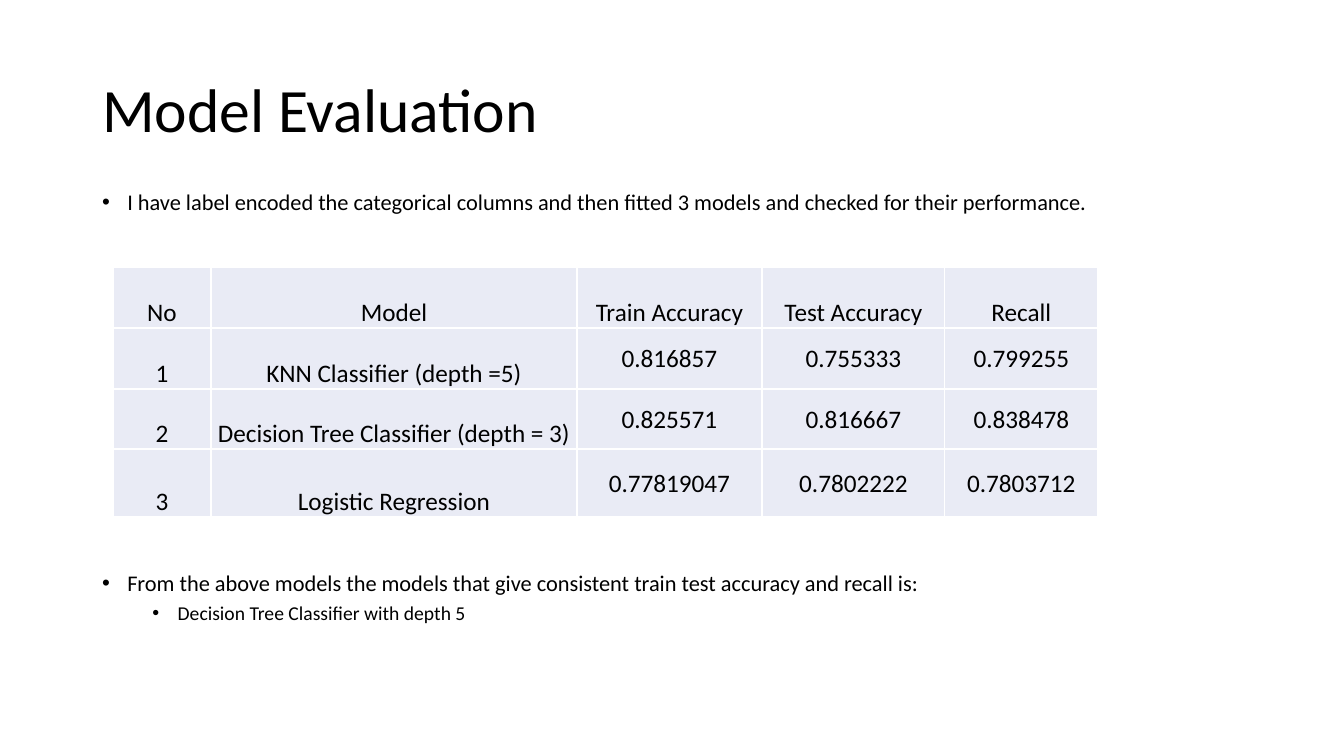
from dataclasses import astuple, dataclass

from lxml import etree
from pptx import Presentation
from pptx import util as u
from pptx.dml.color import RGBColor
from pptx.enum import text
from pptx.oxml.ns import qn

PX = u.Inches(1) / 100.8
FONT = "Calibri"
BLACK = RGBColor(0x00, 0x00, 0x00)
WHITE = RGBColor(0xFF, 0xFF, 0xFF)
CELL_FILL = RGBColor(0xE9, 0xEB, 0xF5)
COLUMN_WIDTHS = (98, 366, 185, 183, 153)
ROW_HEIGHTS = (61, 61, 60, 68)


@dataclass(frozen=True)
class ModelScore:
    number: str
    model: str
    train_accuracy: str
    test_accuracy: str
    recall: str


@dataclass(frozen=True)
class Bullet:
    words: str
    size: int
    space_before: int
    level: int = 0


HEADER = ModelScore("No", "Model", "Train Accuracy", "Test Accuracy", "Recall")
SCORES = (
    ModelScore("1", "KNN Classifier (depth =5)", "0.816857", "0.755333", "0.799255"),
    ModelScore("2", "Decision Tree Classifier (depth = 3)", "0.825571", "0.816667", "0.838478"),
    ModelScore("3", "Logistic Regression", "0.77819047", "0.7802222", "0.7803712"),
)
# The second bullet's space leaves room for the table.
BULLETS = (
    Bullet("I have label encoded the categorical columns and then fitted 3 models "
           "and checked for their performance.", 16, 10),
    Bullet("From the above models the models that give consistent train test "
           "accuracy and recall is:", 16, 255),
    Bullet("Decision Tree Classifier with depth 5", 14, 5, level=1),
)


def px(length: int) -> u.Emu:
    return u.Emu(round(length * PX))


def write(paragraph, words: str, *, size: int, align=text.PP_ALIGN.LEFT,
          line_spacing: float = 1.0, space_before: int = 0) -> None:
    paragraph.alignment = align
    paragraph.line_spacing = line_spacing
    paragraph.space_before = u.Pt(space_before)
    run = paragraph.add_run()
    run.text = words
    run.font.name = FONT
    run.font.size = u.Pt(size)
    run.font.bold = False
    run.font.color.rgb = BLACK


def place(shape, left: int, top: int, width: int, height: int) -> None:
    shape.left, shape.top = px(left), px(top)
    shape.width, shape.height = px(width), px(height)
    shape.text_frame.word_wrap = True
    shape.text_frame.auto_size = text.MSO_AUTO_SIZE.NONE


def add_bullets(frame, bullets: tuple[Bullet, ...]) -> None:
    for index, bullet in enumerate(bullets):
        paragraph = frame.add_paragraph() if index else frame.paragraphs[0]
        paragraph.level = bullet.level
        write(paragraph, bullet.words, size=bullet.size, line_spacing=0.9,
              space_before=bullet.space_before)
        properties = paragraph._p.get_or_add_pPr()
        properties.set("marL", str(u.Inches(0.25 + 0.5 * bullet.level)))
        properties.set("indent", str(-u.Inches(0.25)))
        etree.SubElement(properties, qn("a:buFont")).set("typeface", "Arial")
        etree.SubElement(properties, qn("a:buChar")).set("char", "•")


def add_borders(cell) -> None:
    properties = cell._tc.get_or_add_tcPr()
    for position, side in enumerate(("a:lnL", "a:lnR", "a:lnT", "a:lnB")):
        line = etree.Element(qn(side), w=str(u.Pt(1)))
        fill = etree.SubElement(line, qn("a:solidFill"))
        etree.SubElement(fill, qn("a:srgbClr")).set("val", str(WHITE))
        properties.insert(position, line)


def format_cell(cell, words: str, anchor) -> None:
    cell.margin_left = cell.margin_right = cell.margin_top = px(1)
    cell.margin_bottom = 0
    cell.vertical_anchor = anchor
    cell.fill.solid()
    cell.fill.fore_color.rgb = CELL_FILL
    add_borders(cell)
    write(cell.text_frame.paragraphs[0], words, size=18, align=text.PP_ALIGN.CENTER)


def add_score_table(slide, left: int, top: int) -> None:
    rows = (HEADER, *SCORES)
    table = slide.shapes.add_table(
        len(rows), len(COLUMN_WIDTHS), px(left), px(top),
        px(sum(COLUMN_WIDTHS)), px(sum(ROW_HEIGHTS))).table
    table.first_row = table.horz_banding = False
    for column, width in zip(table.columns, COLUMN_WIDTHS):
        column.width = px(width)
    for row_index, (score, height) in enumerate(zip(rows, ROW_HEIGHTS)):
        table.rows[row_index].height = px(height)
        for column_index, words in enumerate(astuple(score)):
            is_value = row_index > 0 and column_index > 1
            anchor = text.MSO_ANCHOR.MIDDLE if is_value else text.MSO_ANCHOR.BOTTOM
            format_cell(table.cell(row_index, column_index), words, anchor)


def main() -> None:
    presentation = Presentation()
    presentation.slide_width, presentation.slide_height = px(1344), px(756)
    slide = presentation.slides.add_slide(presentation.slide_layouts[1])

    title, body = slide.shapes.title, slide.placeholders[1]
    place(title, 92, 40, 1159, 146)
    title.text_frame.vertical_anchor = text.MSO_ANCHOR.MIDDLE
    write(title.text_frame.paragraphs[0], "Model Evaluation", size=44, line_spacing=0.9)
    place(body, 92, 186, 1159, 548)
    add_bullets(body.text_frame, BULLETS)
    add_score_table(slide, 113, 267)

    presentation.save("out.pptx")


if __name__ == "__main__":
    main()
